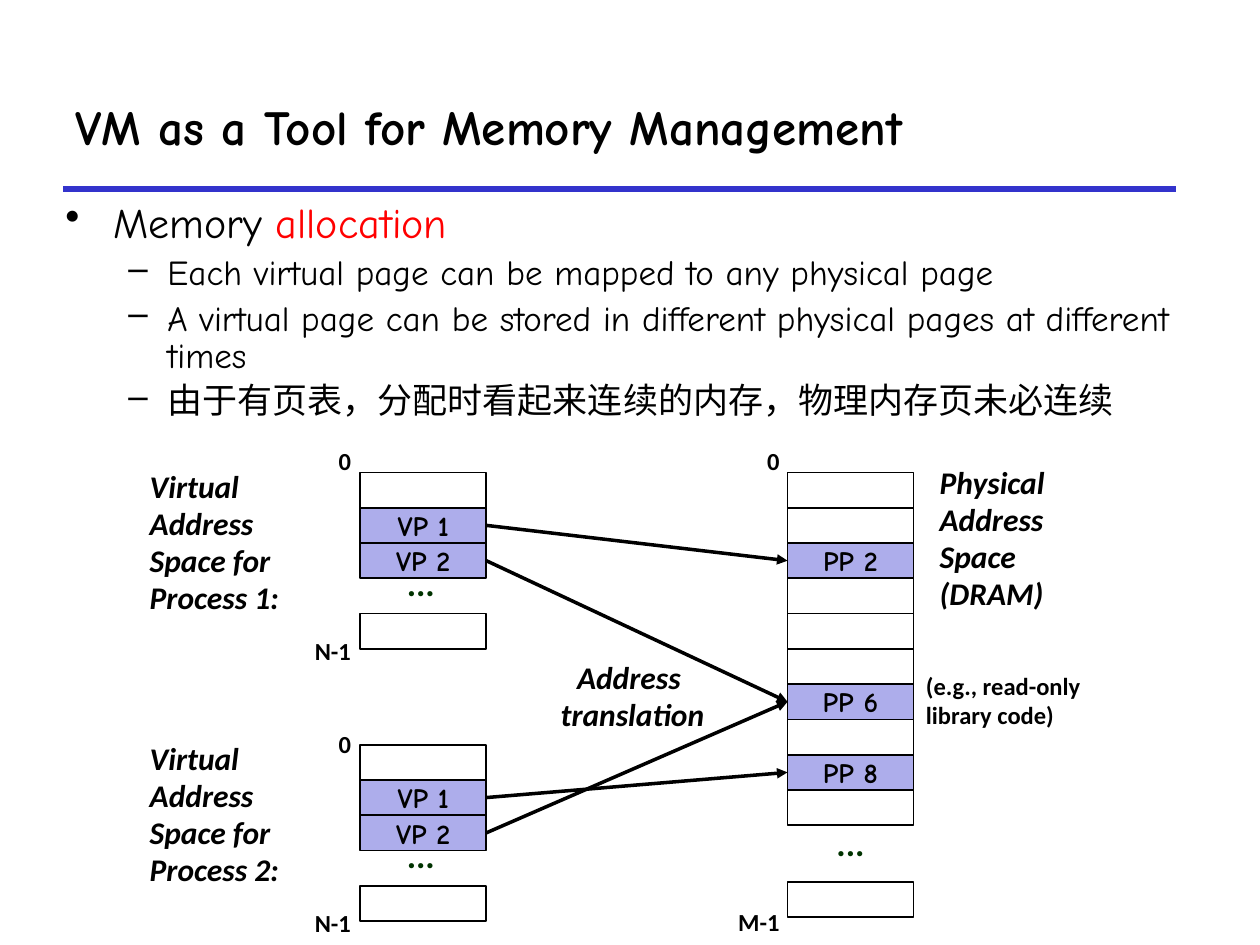
"""Builds a slide on virtual memory as a tool for memory management."""
from typing import NamedTuple

from lxml.etree import SubElement as Sub
from pptx import Presentation
from pptx.dml.color import RGBColor as Rgb
from pptx.enum.shapes import MSO_CONNECTOR as Conn, MSO_SHAPE as Kind
from pptx.enum.text import MSO_ANCHOR as Anchor, MSO_AUTO_SIZE as Auto, PP_ALIGN as Align
from pptx.oxml.ns import qn
from pptx.util import Emu, Pt

PX = 9144
HUES = {"ink": "000000", "rule": "3333CC", "hot": "FF0000",
        "page": "ADADEB", "dots": "003300"}
HAND, SANS = "Comic Neue", "Calibri"
ROW, WIDE = 28, 100


class Box(NamedTuple):
    x: int
    y: int
    w: int
    h: int


class Look(NamedTuple):
    size: int
    face: str = SANS
    bold: bool = True
    slant: bool = False
    hue: str = "ink"


class Label(NamedTuple):
    box: Box
    lines: tuple[str, ...]
    look: Look
    wrap: bool = False
    gap: float = 0.98
    align: Align = Align.LEFT


class Space(NamedTuple):
    x: int
    y: int
    names: tuple[str, ...]
    last: int
    dots: Box


class Point(NamedTuple):
    runs: tuple[tuple[str, str], ...]
    level: int
    size: int
    mark: str
    left: int
    hang: int
    gap: float
    above: int


HEAD = Look(18, slant=True)
NOTE = Look(14)
DOTS = Look(20, hue="dots")
PAGE = Look(16, HAND)

SPACES = (
    Space(286, 375, ("", "VP 1", "VP 2"), 487, Box(313, 445, 42, 39)),
    Space(286, 591, ("", "VP 1", "VP 2"), 703, Box(313, 661, 42, 39)),
    Space(625, 375, ("", "", "PP 2", "", "", "", "PP 6", "", "PP 8", ""),
          700, Box(654, 651, 42, 39)),
)
LINKS = ((0, "VP 1", "PP 2"), (0, "VP 2", "PP 6"),
         (1, "VP 2", "PP 6"), (1, "VP 1", "PP 8"))
LABELS = (
    Label(Box(109, 367, 150, 127), ("Virtual Address Space for Process 1:",), HEAD, True),
    Label(Box(109, 583, 150, 127), ("Virtual Address Space for Process 2:",), HEAD, True),
    Label(Box(736, 364, 117, 127), ("Physical", "Address", "Space (DRAM)"), HEAD, True),
    Label(Box(725, 529, 159, 55), ("(e.g., read-only", "library code)"), NOTE, True),
    Label(Box(259, 350, 30, 33), ("0",), NOTE),
    Label(Box(240, 501, 49, 33), ("N-1",), NOTE),
    Label(Box(259, 575, 30, 33), ("0",), NOTE),
    Label(Box(240, 717, 49, 33), ("N-1",), NOTE),
    Label(Box(599, 350, 30, 33), ("0",), NOTE),
    Label(Box(576, 716, 53, 33), ("M-1",), NOTE),
    Label(Box(435, 517, 134, 70), ("Address ", "translation"), HEAD,
          gap=1.0, align=Align.CENTER),
)
SUBS = ("Each virtual page can be mapped to any physical page",
        "A virtual page can be stored in different physical pages at different times",
        "由于有页表，分配时看起来连续的内存，物理内存页未必连续")
POINTS = (
    Point((("Memory ", "ink"), ("allocation", "hot")), 0, 24, "•", 38, 38, 0.83, 0),
    *(Point(((text, "ink"),), 1, 20, "–", 81, 31, 0.88, 5) for text in SUBS),
)


def tint(hue: str) -> Rgb:
    return Rgb.from_string(HUES[hue])


def place(box: Box) -> list[Emu]:
    return [Emu(side * PX) for side in box]


def write(para, text: str, look: Look) -> None:
    run = para.add_run()
    run.text = text
    font = run.font
    font.name, font.size = look.face, Pt(look.size)
    font.bold, font.italic = look.bold, look.slant
    font.color.rgb = tint(look.hue)


def grow(frame, index: int):
    return frame.add_paragraph() if index else frame.paragraphs[0]


def put_label(slide, label: Label) -> None:
    frame = slide.shapes.add_textbox(*place(label.box)).text_frame
    frame.word_wrap = label.wrap
    frame.auto_size = Auto.SHAPE_TO_FIT_TEXT
    for i, line in enumerate(label.lines):
        para = grow(frame, i)
        para.alignment, para.line_spacing = label.align, label.gap
        write(para, line, label.look)


def put_cell(slide, x: int, y: int, name: str):
    cell = slide.shapes.add_shape(Kind.RECTANGLE, *place(Box(x, y, WIDE, ROW)))
    cell.shadow.inherit = False
    cell.line.color.rgb, cell.line.width = tint("ink"), Pt(1)
    if name:
        cell.fill.solid()
        cell.fill.fore_color.rgb = tint("page")
        frame = cell.text_frame
        frame.vertical_anchor = Anchor.MIDDLE
        frame.paragraphs[0].alignment = Align.CENTER
        write(frame.paragraphs[0], name, PAGE)
    else:
        cell.fill.background()
    return cell


def put_space(slide, space: Space) -> dict:
    cells = {}
    for i, name in enumerate(space.names):
        cells[name] = put_cell(slide, space.x, space.y + i * ROW, name)
    put_cell(slide, space.x, space.last, "")
    put_label(slide, Label(space.dots, ("...",), DOTS, gap=0.88))
    return cells


def put_line(slide, ends: Box, hue: str, width: int):
    line = slide.shapes.add_connector(Conn.STRAIGHT, *place(ends))
    line.line.color.rgb, line.line.width = tint(hue), Pt(width)
    Sub(line._element.spPr, qn("a:effectLst"))
    return line


def put_link(slide, start, stop) -> None:
    link = put_line(slide, Box(0, 0, 0, 0), "ink", 2)
    link.begin_connect(start, 3)
    link.end_connect(stop, 1)
    Sub(link.line._get_or_add_ln(), qn("a:tailEnd"), type="triangle")


def put_points(slide) -> None:
    frame = slide.shapes.add_textbox(*place(Box(42, 158, 933, 208))).text_frame
    frame.word_wrap = True
    for i, point in enumerate(POINTS):
        para = grow(frame, i)
        para.level, para.line_spacing = point.level, point.gap
        para.space_before = Pt(point.above)
        props = para._p.get_or_add_pPr()
        props.set("marL", str(point.left * PX))
        props.set("indent", str(-point.hang * PX))
        Sub(Sub(props, qn("a:buClr")), qn("a:srgbClr"), val=HUES["ink"])
        Sub(props, qn("a:buChar"), char=point.mark)
        for text, hue in point.runs:
            write(para, text, Look(point.size, HAND, False, hue=hue))


def put_title(slide) -> None:
    title = slide.shapes.title
    title.left, title.top, title.width, title.height = place(Box(50, 50, 942, 100))
    frame = title.text_frame
    frame.vertical_anchor = Anchor.MIDDLE
    frame.paragraphs[0].alignment = Align.LEFT
    write(frame.paragraphs[0], "VM as a Tool for Memory Management", Look(28, HAND))


def main() -> None:
    deck = Presentation()
    deck.slide_width, deck.slide_height = Emu(1000 * PX), Emu(750 * PX)
    slide = deck.slides.add_slide(deck.slide_layouts[5])
    put_line(slide, Box(50, 150, 933, 150), "rule", 3)
    put_title(slide)
    put_points(slide)
    cells = [put_space(slide, space) for space in SPACES]
    for index, start, stop in LINKS:
        put_link(slide, cells[index][start], cells[-1][stop])
    for label in LABELS:
        put_label(slide, label)
    deck.save("out.pptx")


if __name__ == "__main__":
    main()
